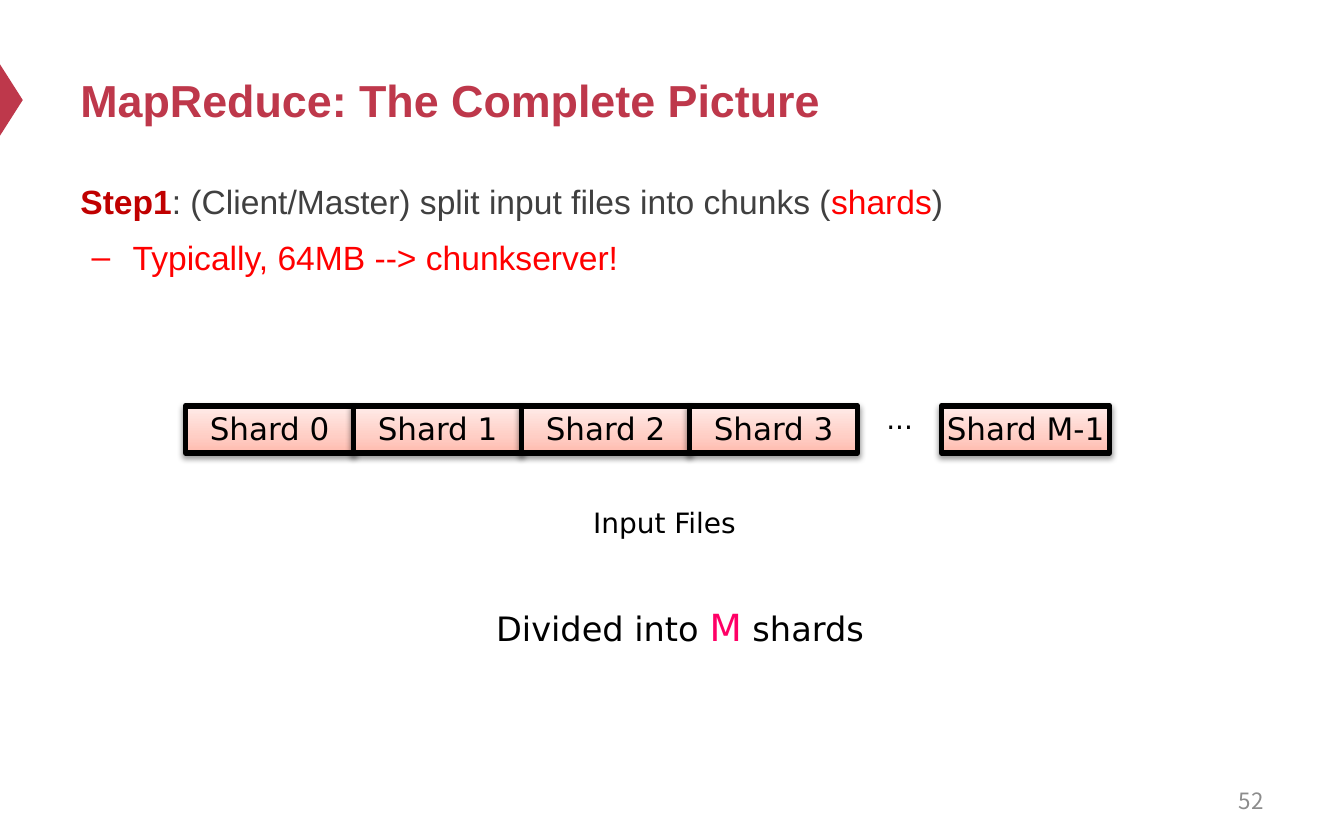
"""Build the slide on splitting MapReduce input files into shards."""
from lxml.etree import SubElement
from pptx import Presentation
from pptx.dml.color import RGBColor
from pptx.enum.shapes import MSO_SHAPE
from pptx.enum.text import MSO_ANCHOR, PP_ALIGN
from pptx.oxml import parse_xml
from pptx.oxml.ns import nsdecls, qn
from pptx.util import Pt

THEME = {
    "crimson": "BE384B", "dark_red": "C00000", "red": "FF0000", "pink": "FF0066",
    "black": "000000", "charcoal": "404040", "grey": "8C8C8C",
    "gradient": [(0, "FFBBAE"), (35, "FFCEC5"), (100, "FFECE9")],
    "heading": "Arial", "diagram": "DejaVu Sans", "number": "Noto Sans CJK SC",
    "title": 24, "body": 18, "big": 20, "shard": 16.6, "label": 15, "page": 12,
}

TITLE = [("MapReduce: The Complete Picture", "crimson", "title", True)]
STEP = [
    ("Step1", "dark_red", "body", True),
    (": (Client/Master) split input files into chunks (", "charcoal", "body", False),
    ("shards", "red", "body", False),
    (")", "charcoal", "body", False),
]
DETAIL = [("Typically, 64MB --> chunkserver!", "red", "body", False)]
PAGE = [("52", "grey", "page", False)]
CAPTIONS = [
    ((278.6, 267.1, 154.8, 25.2), [("Input Files", "black", "label", False)]),
    ((455, 211.7, 54, 25.2), [("...", "black", "label", False)]),
    ((235.4, 320.4, 257.8, 31.7), [
        ("Divided into ", "black", "body", False),
        ("M", "pink", "big", False),
        (" shards", "black", "body", False),
    ]),
]
SHARDS = [("Shard 0", 0), ("Shard 1", 1), ("Shard 2", 2), ("Shard 3", 3), ("Shard M-1", 4.5)]
SHARD_LEFT, SHARD_TOP, SHARD_WIDTH, SHARD_HEIGHT = 99.4, 217.4, 90, 25.2


def color(name):
    return RGBColor.from_string(THEME[name])


def write(paragraph, pieces, font, align=PP_ALIGN.LEFT):
    paragraph.alignment = align
    for text, tint, size, bold in pieces:
        run = paragraph.add_run()
        run.text = text
        run.font.name = THEME[font]
        run.font.size = Pt(THEME[size])
        run.font.bold = bold
        run.font.color.rgb = color(tint)


def add_text(slide, box, pieces, font, align=PP_ALIGN.LEFT, anchor=MSO_ANCHOR.TOP):
    frame = slide.shapes.add_textbox(*map(Pt, box)).text_frame
    frame.word_wrap = True
    frame.vertical_anchor = anchor
    write(frame.paragraphs[0], pieces, font, align)
    return frame


def add_marker(slide):
    marker = slide.shapes.add_shape(
        MSO_SHAPE.ISOSCELES_TRIANGLE, Pt(-13), Pt(47.5), Pt(38.2), Pt(12.2))
    marker.rotation = 90
    marker.shadow.inherit = False
    marker.fill.solid()
    marker.fill.fore_color.rgb = color("crimson")
    marker.line.fill.background()


def add_body(slide):
    frame = add_text(slide, (36, 89.3, 648, 209.5), STEP, "heading")
    detail = frame.add_paragraph()
    detail.level = 1
    properties = detail._p.get_or_add_pPr()
    properties.set("marL", str(Pt(28)))
    properties.set("indent", str(Pt(-22)))
    SubElement(properties, qn("a:buFont"), typeface=THEME["heading"])
    SubElement(properties, qn("a:buChar"), char="–")
    write(detail, DETAIL, "heading")
    for paragraph in frame.paragraphs:
        paragraph.line_spacing = 1.2
    detail.space_before = Pt(4)


def add_shard(slide, name, column):
    shard = slide.shapes.add_shape(
        MSO_SHAPE.RECTANGLE, Pt(SHARD_LEFT + column * SHARD_WIDTH), Pt(SHARD_TOP),
        Pt(SHARD_WIDTH), Pt(SHARD_HEIGHT))
    shard.line.color.rgb = color("black")
    shard.line.width = Pt(3)
    shard.shadow.inherit = False
    properties = shard._element.spPr
    stops = "".join(
        f'<a:gs pos="{position * 1000}"><a:srgbClr val="{tint}"/></a:gs>'
        for position, tint in THEME["gradient"])
    properties.find(qn("a:prstGeom")).addnext(parse_xml(
        f'<a:gradFill {nsdecls("a")} rotWithShape="1"><a:gsLst>{stops}</a:gsLst>'
        '<a:lin ang="16200000" scaled="0"/></a:gradFill>'))
    properties.find(qn("a:effectLst")).append(parse_xml(
        f'<a:outerShdw {nsdecls("a")} blurRad="{Pt(3.1)}" dist="{Pt(1.6)}" dir="5400000" '
        f'rotWithShape="0"><a:srgbClr val="{THEME["black"]}"><a:alpha val="38000"/>'
        '</a:srgbClr></a:outerShdw>'))
    frame = shard.text_frame
    frame.word_wrap = False
    frame.vertical_anchor = MSO_ANCHOR.MIDDLE
    frame.margin_top = Pt(2)
    write(frame.paragraphs[0], [(name, "black", "shard", False)], "diagram", PP_ALIGN.CENTER)


def main():
    deck = Presentation()
    deck.slide_width, deck.slide_height = Pt(720), Pt(450)
    slide = deck.slides.add_slide(deck.slide_layouts[6])
    add_marker(slide)
    add_text(slide, (36, 18, 648, 70.6), TITLE, "heading", anchor=MSO_ANCHOR.MIDDLE)
    add_text(slide, (516.2, 416.9, 167.8, 23.8), PAGE, "number",
             PP_ALIGN.RIGHT, MSO_ANCHOR.MIDDLE)
    for name, column in SHARDS:
        add_shard(slide, name, column)
    for box, pieces in CAPTIONS:
        add_text(slide, box, pieces, "diagram", PP_ALIGN.CENTER)
    add_body(slide)
    deck.save("out.pptx")


if __name__ == "__main__":
    main()
